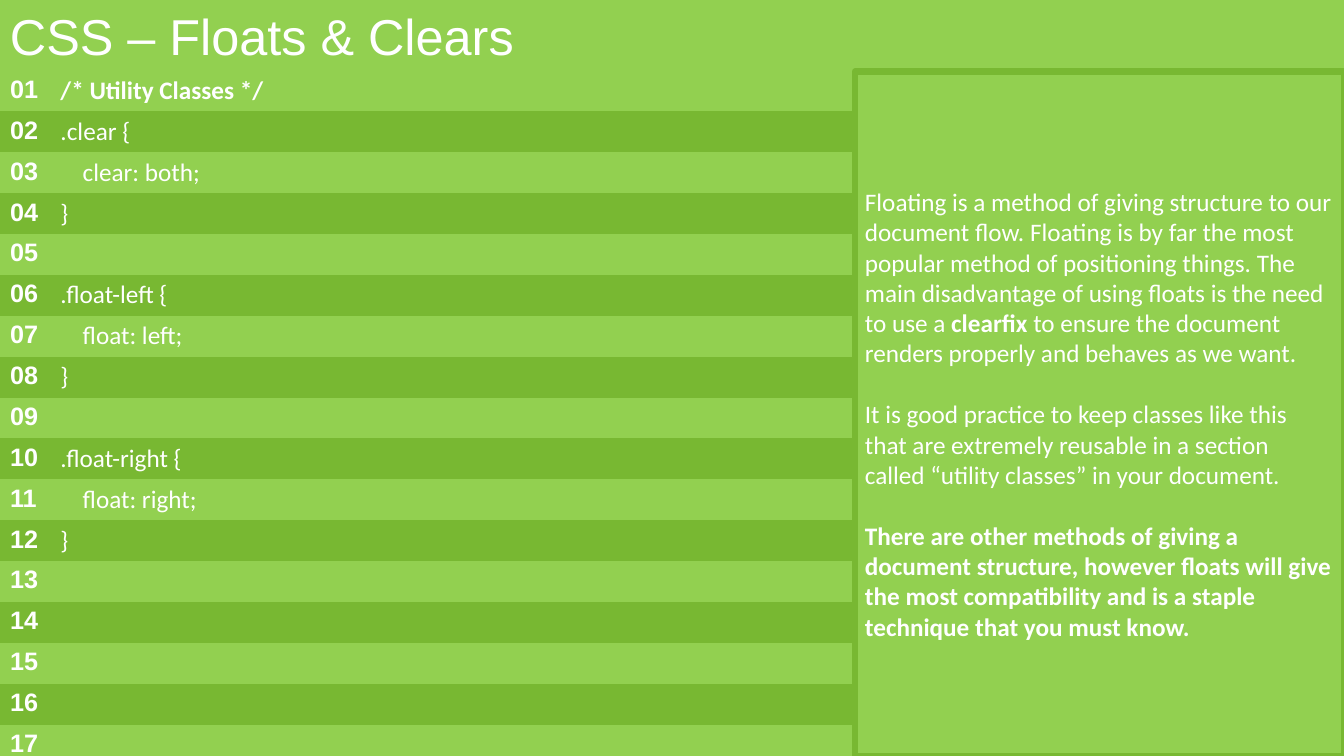
from pptx import Presentation
from pptx.dml.color import RGBColor
from pptx.enum.shapes import MSO_SHAPE
from pptx.enum.text import MSO_ANCHOR, PP_ALIGN
from pptx.util import Inches, Pt

RECTANGLE = MSO_SHAPE.RECTANGLE
TOP, MIDDLE = MSO_ANCHOR.TOP, MSO_ANCHOR.MIDDLE
LEFT = PP_ALIGN.LEFT

LIGHT_GREEN = RGBColor(0x92, 0xD0, 0x50)
DARK_GREEN = RGBColor(0x78, 0xB8, 0x32)
WHITE = RGBColor(0xFF, 0xFF, 0xFF)
PLAIN_TABLE_STYLE = "{2D5ABB26-0587-4C30-8999-92F81FD0307C}"

# Each code line: indent level and text
CODE_LINES = [
    (0, "/* Utility Classes */"),
    (0, ".clear {"), (1, "clear: both;"), (0, "}"), (0, ""),
    (0, ".float-left {"), (1, "float: left;"), (0, "}"), (0, ""),
    (0, ".float-right {"), (1, "float: right;"), (0, "}"),
]
LINE_COUNT = 17

# Each paragraph: runs of text and boldness
EXPLANATION = [
    [("Floating is a method of giving structure to our document flow. "
      "Floating is by far the most popular method of positioning things. "
      "The main disadvantage of using floats is the need to use a ", False),
     ("clearfix ", True),
     ("to ensure the document renders properly and behaves as we want.", False)],
    [("It is good practice to keep classes like this that are extremely "
      "reusable in a section called “utility classes” in your document.", False)],
    [("There are other methods of giving a document structure, however floats "
      "will give the most compatibility and is a staple technique that you "
      "must know.", True)],
]


class SlideBuilder:
    heading_font = "Arial"
    body_font = "Calibri"
    body_size = 18

    def __init__(self, page):
        self.page = page

    def add_span(self, para, text, font, size=body_size, bold=False):
        span = para.add_run()
        span.text = text
        span.font.name = font
        span.font.size = Pt(size)
        span.font.bold = bold
        span.font.color.rgb = WHITE

    def panel(self, left, top, width, height, paragraphs, font, size=body_size,
              anchor=TOP, border=None):
        box = self.page.shapes.add_shape(
            RECTANGLE, Inches(left), Inches(top), Inches(width), Inches(height))
        box.shadow.inherit = False
        box.fill.solid()
        box.fill.fore_color.rgb = LIGHT_GREEN
        if border is None:
            box.line.fill.background()
        else:
            box.line.color.rgb = border
            box.line.width = Pt(4.5)
        frame = box.text_frame
        frame.word_wrap = True
        frame.vertical_anchor = anchor
        for index, spans in enumerate(paragraphs):
            para = frame.add_paragraph() if index else frame.paragraphs[0]
            para.alignment = LEFT
            if index:
                para.space_before = Pt(22)
            for text, bold in spans:
                self.add_span(para, text, font, size, bold)

    def code_table(self, left, top, widths, row_height, lines, count):
        table = self.page.shapes.add_table(
            count, len(widths), Inches(left), Inches(top),
            Inches(sum(widths)), Inches(row_height * count)).table
        table.first_row = table.horz_banding = False
        table._tbl.tblPr[0].text = PLAIN_TABLE_STYLE
        for column, width in zip(table.columns, widths):
            column.width = Inches(width)
        for index, row in enumerate(table.rows):
            row.height = Inches(row_height)
            number_cell, code_cell = row.cells
            for cell in (number_cell, code_cell):
                cell.fill.solid()
                cell.fill.fore_color.rgb = DARK_GREEN if index % 2 else LIGHT_GREEN
            self.add_span(number_cell.text_frame.paragraphs[0],
                          f"{index + 1:02}", self.heading_font, bold=True)
            level, text = lines[index] if index < len(lines) else (0, "")
            if text:
                para = code_cell.text_frame.paragraphs[0]
                para._p.get_or_add_pPr().set("marL", str(Inches(0.22 * level)))
                self.add_span(para, text, self.body_font, bold=index == 0)


def main():
    deck = Presentation()
    deck.slide_width, deck.slide_height = Inches(13.33), Inches(7.5)
    builder = SlideBuilder(deck.slides.add_slide(deck.slide_layouts[6]))

    # Numbered code listing
    builder.code_table(0, 0.7, [0.5, 8.87], 0.4, CODE_LINES, LINE_COUNT)

    # Title bar
    builder.panel(0, 0, 13.33, 0.71, [[("CSS – Floats & Clears", False)]],
                  builder.heading_font, size=36)

    # Explanation panel
    builder.panel(8.48, 0.71, 4.85, 6.79, EXPLANATION, builder.body_font,
                  anchor=MIDDLE, border=DARK_GREEN)

    deck.save("out.pptx")


if __name__ == "__main__":
    main()
